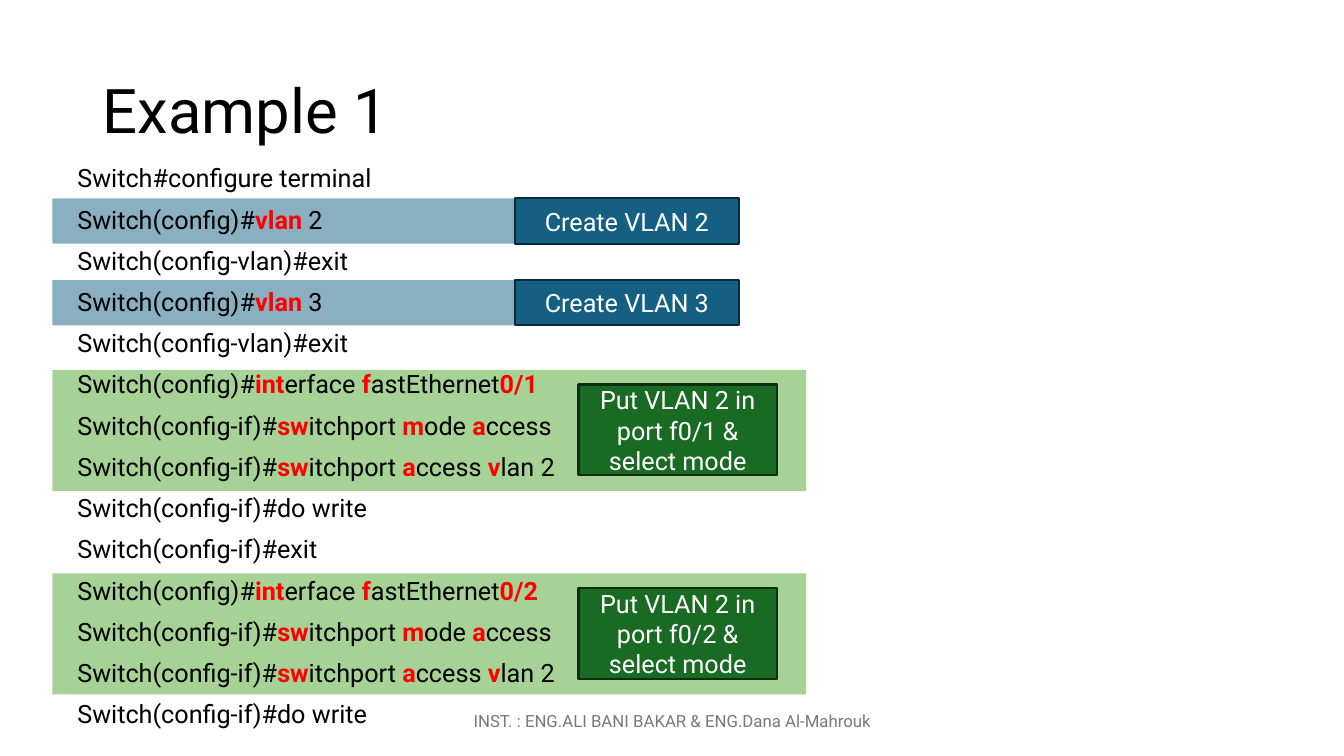
from dataclasses import dataclass

from lxml.etree import SubElement
from pptx import Presentation
from pptx.dml.color import RGBColor
from pptx.enum.shapes import MSO_SHAPE
from pptx.enum.text import MSO_ANCHOR, PP_ALIGN
from pptx.oxml.ns import qn
from pptx.util import Cm, Pt


@dataclass(frozen=True)
class Theme:
    font: str = "Roboto"
    title_size: int = 44
    body_size: int = 18
    footer_size: int = 12
    text: str = "000000"
    keyword: str = "FF0000"
    label_text: str = "FFFFFF"
    footer: str = "797979"
    vlan_band: str = "156082"
    vlan_label: str = "156082"
    vlan_border: str = "092A39"
    port_band: str = "4EA72E"
    port_label: str = "196B24"
    port_border: str = "0B2F10"


THEME = Theme()
BAND_LEFT = 1.32


def port_commands(port):
    return [
        f"Switch(config)#*int*erface *f*astEthernet*0/{port}*",
        "Switch(config-if)#*sw*itchport *m*ode *a*ccess",
        "Switch(config-if)#*sw*itchport *a*ccess *v*lan 2",
        "Switch(config-if)#do write",
    ]


# Asterisks enclose the highlighted keywords
COMMANDS = [
    "Switch#configure terminal",
    "Switch(config)#*vlan* 2",
    "Switch(config-vlan)#exit",
    "Switch(config)#*vlan* 3",
    "Switch(config-vlan)#exit",
    *port_commands(1),
    "Switch(config-if)#exit",
    *port_commands(2),
]


def color(value):
    return RGBColor.from_string(value)


def style(paragraph, size, text_color, align=PP_ALIGN.LEFT):
    paragraph.alignment = align
    paragraph.font.name = THEME.font
    paragraph.font.size = Pt(size)
    paragraph.font.color.rgb = color(text_color)


def add_text_box(slide, left, top, width, height, anchor=MSO_ANCHOR.MIDDLE):
    box = slide.shapes.add_textbox(Cm(left), Cm(top), Cm(width), Cm(height))
    frame = box.text_frame
    frame.word_wrap = True
    frame.vertical_anchor = anchor
    return frame


def add_rectangle(slide, left, top, width, height, fill):
    shape = slide.shapes.add_shape(
        MSO_SHAPE.RECTANGLE, Cm(left), Cm(top), Cm(width), Cm(height))
    shape.shadow.inherit = False
    shape.fill.solid()
    shape.fill.fore_color.rgb = color(fill)
    return shape


def add_band(slide, top, width, height, fill):
    shape = add_rectangle(slide, BAND_LEFT, top, width, height, fill)
    shape.line.fill.background()
    fill_color = shape.fill._xPr.find(qn("a:solidFill"))[0]
    SubElement(fill_color, qn("a:alpha"), val="50000")


def add_label(slide, text, left, top, width, height, fill, border):
    shape = add_rectangle(slide, left, top, width, height, fill)
    shape.line.color.rgb = color(border)
    shape.line.width = Pt(1.5)
    frame = shape.text_frame
    frame.word_wrap = True
    frame.vertical_anchor = MSO_ANCHOR.MIDDLE
    frame.text = text
    style(frame.paragraphs[0], THEME.body_size, THEME.label_text, PP_ALIGN.CENTER)


def add_commands(slide):
    frame = add_text_box(slide, 1.7, 4.06, 14.45, 14.6, MSO_ANCHOR.TOP)
    for index, command in enumerate(COMMANDS):
        paragraph = frame.add_paragraph() if index else frame.paragraphs[0]
        paragraph.line_spacing = 0.9
        paragraph.space_before = Pt(10 if index else 0)
        style(paragraph, THEME.body_size, THEME.text)
        for part, text in enumerate(command.split("*")):
            if not text:
                continue
            run = paragraph.add_run()
            run.text = text
            if part % 2:
                run.font.bold = True
                run.font.color.rgb = color(THEME.keyword)


def main():
    presentation = Presentation()
    presentation.slide_width = Cm(33.87)
    presentation.slide_height = Cm(19.05)
    slide = presentation.slides.add_slide(presentation.slide_layouts[6])

    vlan_tops = {2: 5.0, 3: 7.06}
    port_tops = {1: 9.32, 2: 14.45}

    # Bands behind the commands
    for top in port_tops.values():
        add_band(slide, top, 19, 3.05, THEME.port_band)
    for top in vlan_tops.values():
        add_band(slide, top, 17.32, 1.14, THEME.vlan_band)

    add_commands(slide)

    # Explanations beside the commands
    for vlan, top in vlan_tops.items():
        add_label(slide, f"Create VLAN {vlan}", 12.98, top, 5.64, 1.14,
                  THEME.vlan_label, THEME.vlan_border)
    for port, top in port_tops.items():
        add_label(slide, f"Put VLAN 2 in port f0/{port} & select mode",
                  14.58, top + 0.37, 5, 2.29,
                  THEME.port_label, THEME.port_border)

    # Title and footer
    title = add_text_box(slide, 2.34, 1.02, 29.21, 3.68)
    title.text = "Example 1"
    title.paragraphs[0].line_spacing = 0.9
    style(title.paragraphs[0], THEME.title_size, THEME.text)

    footer = add_text_box(slide, 11.23, 17.65, 11.43, 1.02)
    footer.text = "INST. : ENG.ALI BANI BAKAR & ENG.Dana Al-Mahrouk"
    style(footer.paragraphs[0], THEME.footer_size, THEME.footer, PP_ALIGN.CENTER)

    presentation.save("out.pptx")


if __name__ == "__main__":
    main()
